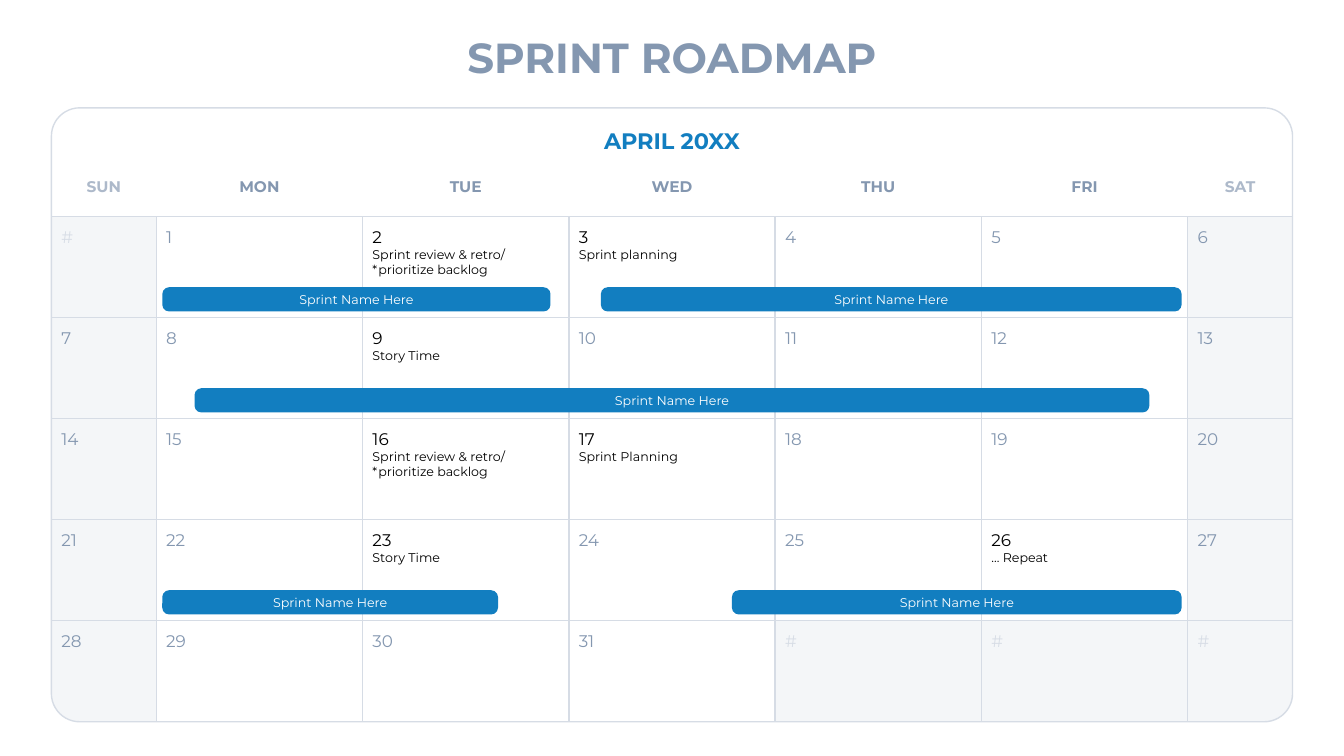
"""Build a monthly sprint roadmap slide with a calendar grid and sprint bars."""
from dataclasses import dataclass
from typing import NamedTuple

from lxml import etree
from pptx import Presentation
from pptx.dml.color import RGBColor
from pptx.enum import shapes, text
from pptx.oxml import ns
from pptx.util import Inches, Pt


@dataclass(frozen=True)
class Theme:
    font: str = "Montserrat"
    accent: str = "127EC0"
    slate: str = "8497B0"
    weekend: str = "ADB9CA"
    grid: str = "D6DCE5"
    black: str = "000000"
    white: str = "FFFFFF"
    title_size: int = 30
    month_size: int = 16
    weekday_size: int = 11
    day_size: int = 12
    note_size: int = 9
    line_width: int = 1
    shade_opacity: int = 25


class Box(NamedTuple):
    left: float
    top: float
    width: float
    height: float


class Sprint(NamedTuple):
    week: int
    left: float
    width: float


THEME = Theme()
FRAME = Box(0.51, 1.07, 12.31, 6.09)
RIGHT = FRAME.left + FRAME.width
BOTTOM = FRAME.top + FRAME.height
GRID_TOP = 2.15
WEEKS = 5
LAST_DAY = 31
WEEK_HEIGHT = (BOTTOM - GRID_TOP) / WEEKS
WEEKEND_WIDTH = 1.04
WEEKDAY_WIDTH = (FRAME.width - 2 * WEEKEND_WIDTH) / 5
EDGES = [FRAME.left, *(FRAME.left + WEEKEND_WIDTH + i * WEEKDAY_WIDTH for i in range(6)), RIGHT]
WEEK_TOPS = [GRID_TOP + week * WEEK_HEIGHT for week in range(WEEKS)]
WEEKDAYS = ["SUN", "MON", "TUE", "WED", "THU", "FRI", "SAT"]
REVIEW = "Sprint review & retro/ *prioritize backlog"
EVENTS = {
    2: REVIEW,
    3: "Sprint planning",
    9: "Story Time",
    16: REVIEW,
    17: "Sprint Planning",
    23: "Story Time",
    26: "… Repeat",
}
SPRINTS = [
    Sprint(0, 1.61, 3.85),
    Sprint(0, 5.96, 5.76),
    Sprint(1, 1.93, 9.47),
    Sprint(3, 1.61, 3.33),
    Sprint(3, 7.26, 4.46),
]


def write_text(shape, content: str, *, size: int, color: str, bold: bool = False,
               align=text.PP_ALIGN.LEFT, anchor=text.MSO_ANCHOR.TOP,
               insets=(0.1, 0.1, 0.1, 0.05), wrap: bool = True) -> None:
    frame = shape.text_frame
    frame.word_wrap = wrap
    frame.vertical_anchor = anchor
    frame.margin_left, frame.margin_top, frame.margin_right, frame.margin_bottom = map(Inches, insets)
    paragraph = frame.add_paragraph() if frame.text else frame.paragraphs[0]
    paragraph.alignment = align
    run = paragraph.add_run()
    run.text = content
    run.font.name = THEME.font
    run.font.size = Pt(size)
    run.font.bold = bold
    run.font.color.rgb = RGBColor.from_string(color)


def add_text_box(slide, box: Box):
    return slide.shapes.add_textbox(*map(Inches, box))


def add_shape(slide, kind, box: Box, fill: str | None = None, line: str | None = None):
    shape = slide.shapes.add_shape(kind, *map(Inches, box))
    shape.shadow.inherit = False
    if fill:
        shape.fill.solid()
        shape.fill.fore_color.rgb = RGBColor.from_string(fill)
    else:
        shape.fill.background()
    if line:
        shape.line.color.rgb = RGBColor.from_string(line)
        shape.line.width = Pt(THEME.line_width)
    else:
        shape.line.fill.background()
    return shape


def add_shade(slide, kind, box: Box, rotation: int = 0):
    shape = add_shape(slide, kind, box, fill=THEME.grid)
    shape.rotation = rotation
    color = shape.fill._xPr.find(".//" + ns.qn("a:srgbClr"))
    etree.SubElement(color, ns.qn("a:alpha"), val=str(THEME.shade_opacity * 1000))
    return shape


def add_line(slide, start: tuple[float, float], end: tuple[float, float]) -> None:
    line = slide.shapes.add_connector(shapes.MSO_CONNECTOR.STRAIGHT, *map(Inches, (*start, *end)))
    line.line.color.rgb = RGBColor.from_string(THEME.grid)
    line.line.width = Pt(THEME.line_width)
    etree.SubElement(line._element.spPr, ns.qn("a:effectLst"))


def add_title(slide) -> None:
    title = slide.shapes.title
    title.left, title.top, title.width, title.height = map(Inches, Box(4.41, 0.21, 4.51, 0.71))
    write_text(title, "SPRINT ROADMAP", size=THEME.title_size, color=THEME.slate, bold=True,
               align=text.PP_ALIGN.CENTER, anchor=text.MSO_ANCHOR.MIDDLE,
               insets=(0.2, 0.1, 0.2, 0.1), wrap=False)
    title.text_frame.auto_size = text.MSO_AUTO_SIZE.SHAPE_TO_FIT_TEXT


def add_shading(slide) -> None:
    height = BOTTOM - GRID_TOP
    add_shade(slide, shapes.MSO_SHAPE.RECTANGLE,
              Box(EDGES[4], WEEK_TOPS[-1], 2 * WEEKDAY_WIDTH, WEEK_HEIGHT))
    turn = (height - WEEKEND_WIDTH) / 2
    rounded = shapes.MSO_SHAPE.ROUND_1_RECTANGLE
    sunday = add_shade(slide, rounded, Box(EDGES[0], GRID_TOP, WEEKEND_WIDTH, height), rotation=180)
    saturday = add_shade(slide, rounded,
                         Box(EDGES[6] - turn, GRID_TOP + turn, height, WEEKEND_WIDTH), rotation=90)
    for weekend in (sunday, saturday):
        weekend.adjustments[0] = 0.28


def add_days(slide) -> None:
    for week, top in enumerate(WEEK_TOPS):
        for column, left in enumerate(EDGES[:-1]):
            day = 7 * week + column
            in_month = 1 <= day <= LAST_DAY
            event = EVENTS.get(day)
            color = THEME.black if event else THEME.slate if in_month else THEME.grid
            cell = add_text_box(slide, Box(left, top, EDGES[column + 1] - left, WEEK_HEIGHT))
            write_text(cell, str(day) if in_month else "#", size=THEME.day_size, color=color)
            if event:
                write_text(cell, event, size=THEME.note_size, color=color)


def add_grid(slide) -> None:
    frame = add_shape(slide, shapes.MSO_SHAPE.ROUNDED_RECTANGLE, FRAME, line=THEME.grid)
    frame.adjustments[0] = 0.046
    for edge in EDGES[1:-1]:
        add_line(slide, (edge, GRID_TOP), (edge, BOTTOM))
    for top in WEEK_TOPS:
        add_line(slide, (FRAME.left, top), (RIGHT, top))


def add_headings(slide) -> None:
    centered = {"bold": True, "align": text.PP_ALIGN.CENTER, "anchor": text.MSO_ANCHOR.MIDDLE}
    for column, weekday in enumerate(WEEKDAYS):
        left = EDGES[column]
        heading = add_text_box(slide, Box(left, 1.63, EDGES[column + 1] - left, 0.38))
        color = THEME.weekend if column in (0, 6) else THEME.slate
        write_text(heading, weekday, size=THEME.weekday_size, color=color, **centered)
    month = add_text_box(slide, Box(EDGES[3], 1.18, WEEKDAY_WIDTH, 0.38))
    write_text(month, "APRIL 20XX", size=THEME.month_size, color=THEME.accent, **centered)


def add_sprint(slide, sprint: Sprint) -> None:
    box = Box(sprint.left, WEEK_TOPS[sprint.week] + 0.7, sprint.width, 0.24)
    bar = add_shape(slide, shapes.MSO_SHAPE.ROUNDED_RECTANGLE, box, fill=THEME.accent)
    bar.adjustments[0] = 0.28
    write_text(bar, "Sprint Name Here", size=THEME.note_size, color=THEME.white,
               align=text.PP_ALIGN.CENTER, anchor=text.MSO_ANCHOR.MIDDLE, insets=(0.1, 0.05, 0.1, 0.05))


def main() -> None:
    presentation = Presentation()
    presentation.slide_width, presentation.slide_height = Inches(13.33), Inches(7.5)
    slide = presentation.slides.add_slide(presentation.slide_layouts[5])
    for build in (add_title, add_shading, add_days, add_grid, add_headings):
        build(slide)
    for sprint in SPRINTS:
        add_sprint(slide, sprint)
    presentation.save("out.pptx")


if __name__ == "__main__":
    main()
